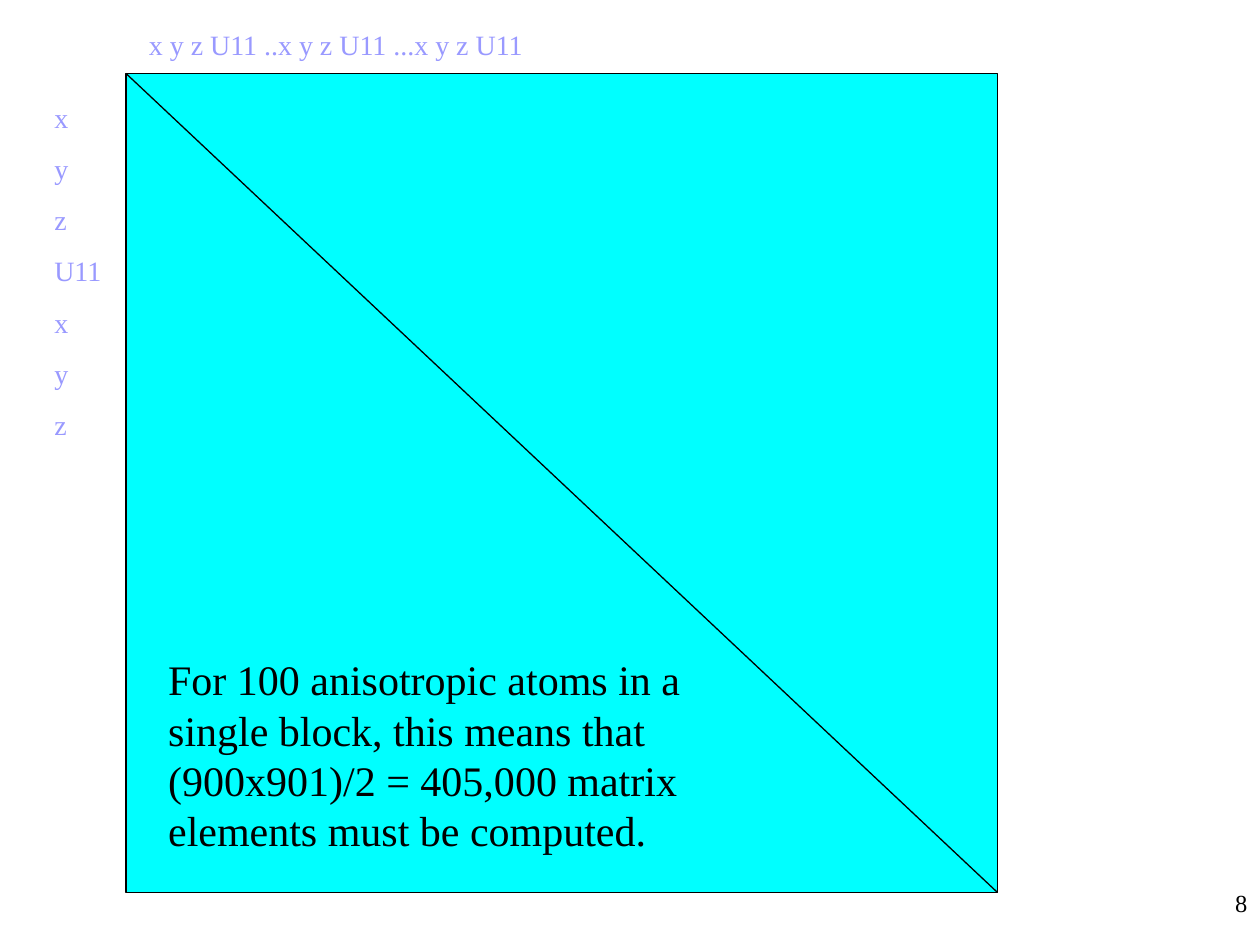
import pptx
import pptx.dml.color
import pptx.enum.shapes
import pptx.enum.text
import pptx.util
from lxml import etree

Pt = pptx.util.Pt


def color(value):
    return pptx.dml.color.RGBColor.from_string(value)


presentation = pptx.Presentation()
presentation.slide_width = Pt(720)
presentation.slide_height = Pt(540)
slide = presentation.slides.add_slide(presentation.slide_layouts[6])

# Matrix square
left, top, width, height = Pt(72), Pt(42), Pt(498), Pt(468)
matrix = slide.shapes.add_shape(
    pptx.enum.shapes.MSO_SHAPE.RECTANGLE, left, top, width, height)
matrix.shadow.inherit = False
matrix.fill.solid()
matrix.fill.fore_color.rgb = color("00FFFF")

# Matrix diagonal
diagonal = slide.shapes.add_connector(
    pptx.enum.shapes.MSO_CONNECTOR.STRAIGHT, left, top, left + width, top + height)
etree.SubElement(diagonal._element.spPr, pptx.oxml.ns.qn("a:effectLst"))

for shape in (matrix, diagonal):
    shape.line.color.rgb = color("000000")
    shape.line.width = Pt(0.75)

# Column labels, row labels, explanation and slide number
align = pptx.enum.text.PP_ALIGN
resize = pptx.enum.text.MSO_AUTO_SIZE.SHAPE_TO_FIT_TEXT
fixed = pptx.enum.text.MSO_AUTO_SIZE.NONE
texts = [
    (["x y z U11 ..x y z U11 ...x y z U11"], (78, 12, 234, 26.6),
     16, "9999FF", align.LEFT, resize),
    (["x", "y", "z", "U11", "x", "y", "z"], (24, 54, 42, 231),
     16, "9999FF", align.LEFT, resize),
    (["For 100 anisotropic atoms in a single block, this means that "
      "(900x901)/2 = 405,000 matrix elements must be computed."],
     (89, 370, 356, 122.4), 24, "000000", align.LEFT, resize),
    (["8"], (623, 504, 97, 36), 14, "000000", align.RIGHT, fixed),
]
for lines, box, size, text_color, alignment, auto_size in texts:
    frame = slide.shapes.add_textbox(*map(Pt, box)).text_frame
    frame.word_wrap = True
    frame.auto_size = auto_size
    for index, line in enumerate(lines):
        paragraph = frame.add_paragraph() if index else frame.paragraphs[0]
        paragraph.alignment = alignment
        if index:
            paragraph.space_before = Pt(10)
        run = paragraph.add_run()
        run.text = line
        for name, value in {"name": "Times New Roman", "size": Pt(size)}.items():
            setattr(run.font, name, value)
        run.font.color.rgb = color(text_color)

presentation.save("out.pptx")
